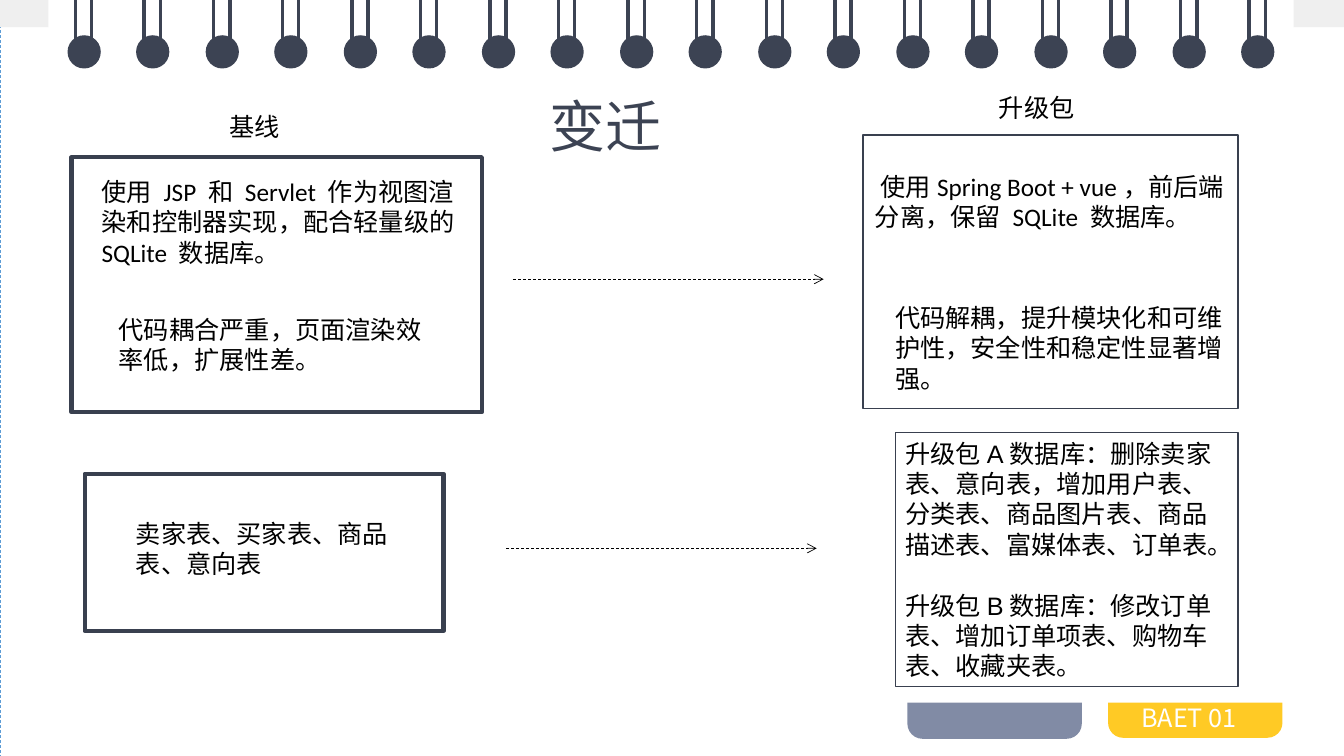
"""Build the slide comparing the baseline with the upgrade package."""
from pptx import Presentation
from pptx.dml.color import RGBColor
from pptx.enum.dml import MSO_LINE
from pptx.enum.shapes import MSO_CONNECTOR, MSO_SHAPE
from pptx.enum.text import MSO_ANCHOR, MSO_AUTO_SIZE, PP_ALIGN
from pptx.oxml.ns import qn
from pptx.util import Pt
from lxml.etree import SubElement

PX = 9144
DARK, EDGE, BLACK, WHITE = "3C4353", "39404F", "000000", "FFFFFF"
CJK = "Noto Sans CJK SC"


def rgb(color):
    return RGBColor.from_string(color)


def write(sp, paragraphs, size=18, font="Calibri", color=BLACK, anchor=MSO_ANCHOR.TOP):
    tf = sp.text_frame
    tf.text = "\n".join(paragraphs)
    tf.word_wrap = True
    tf.auto_size = MSO_AUTO_SIZE.NONE
    tf.vertical_anchor = anchor
    for i, p in enumerate(tf.paragraphs):
        p.alignment = PP_ALIGN.LEFT
        if i:
            p.space_before = Pt(22)
        for r in p.runs:
            r.font.size = Pt(size)
            r.font.name = font
            r.font.color.rgb = rgb(color)
            SubElement(r.font._element, qn("a:ea"), typeface=CJK)


prs = Presentation()
prs.slide_width, prs.slide_height = 1333 * PX, 750 * PX
s = prs.slides.add_slide(prs.slide_layouts[5])

RECT, ROUND, OVAL = MSO_SHAPE.RECTANGLE, MSO_SHAPE.ROUNDED_RECTANGLE, MSO_SHAPE.OVAL
ring_lefts = [round(67 + i * 1164 / 17) for i in range(18)]
shapes = [
    (RECT, (0, 0, 1333, 750), None, "5B9BD5", 0.5),
    (ROUND, (900, 643, 173, 90), "818BA5", None, 0),
    (RECT, (0, 0, 1333, 27), "EFEFEF", None, 0),
    (ROUND, (1099, 642, 173, 90), "FFCA25", None, 0),
    (RECT, (48, 0, 1235, 697), WHITE, None, 0),
    *[(OVAL, (x, 35, 33, 33), DARK, None, 0) for x in ring_lefts],
    (RECT, (71, 156, 407, 253), None, EDGE, 3),
    (RECT, (856, 134, 372, 271), None, EDGE, 1),
    (RECT, (84, 470, 356, 156), None, EDGE, 3),
    (RECT, (888, 429, 340, 252), None, EDGE, 1),
]
for kind, box, fill, line, width in shapes:
    sp = s.shapes.add_shape(kind, *[v * PX for v in box])
    sp.shadow.inherit = False
    if fill:
        sp.fill.solid()
        sp.fill.fore_color.rgb = rgb(fill)
    else:
        sp.fill.background()
    if line:
        sp.line.color.rgb = rgb(line)
        sp.line.width = Pt(width)
        if width < 1:
            sp.line.dash_style = MSO_LINE.DASH
    else:
        sp.line.fill.background()
write(sp, [
    "升级包A数据库：删除卖家表、意向表，增加用户表、分类表、商品图片表、商品描述表、富媒体表、订单表。",
    "升级包B数据库：修改订单表、增加订单项表、购物车表、收藏夹表。",
], font="Arial", anchor=MSO_ANCHOR.MIDDLE)

rods = [(x + dx, 0, x + dx, 51, False) for x in ring_lefts for dx in (8, 24)]
arrows = [(509, 277, 817, 277, True), (502, 544, 810, 544, True)]
for x1, y1, x2, y2, arrow in rods + arrows:
    c = s.shapes.add_connector(MSO_CONNECTOR.STRAIGHT, x1 * PX, y1 * PX, x2 * PX, y2 * PX)
    c.line.color.rgb = rgb(BLACK if arrow else DARK)
    c.line.width = Pt(0.5 if arrow else 2.5)
    if arrow:
        c.line.dash_style = MSO_LINE.DASH
        SubElement(c.line._get_or_add_ln(), qn("a:tailEnd"), type="arrow")
    SubElement(c._element.spPr, qn("a:effectLst"))

title = s.shapes.title
title.left, title.top, title.width, title.height = [v * PX for v in (535, 86, 227, 77)]
write(title, ["变迁"], 40, "Arial", DARK)
s.shapes._spTree.append(title._element)

labels = [
    ((218, 106, 216, 40), "基线"),
    ((981, 87, 164, 40), "升级包"),
    ((91, 170, 380, 101), "使用 JSP 和 Servlet 作为视图渲染和控制器实现，配合轻量级的 SQLite 数据库。"),
    ((858, 165, 386, 71), " 使用Spring Boot + vue，前后端分离，保留 SQLite 数据库。"),
    ((108, 307, 343, 71), "代码耦合严重，页面渲染效率低，扩展性差。"),
    ((878, 295, 346, 101), "代码解耦，提升模块化和可维护性，安全性和稳定性显著增强。"),
    ((125, 509, 275, 71), "卖家表、买家表、商品表、意向表"),
    ((1122, 692, 133, 40), "BAET 01"),
]
for box, text in labels:
    tb = s.shapes.add_textbox(*[v * PX for v in box])
    if text == "BAET 01":
        write(tb, [text], font=CJK, color=WHITE)
    else:
        write(tb, [text])

prs.save("out.pptx")
